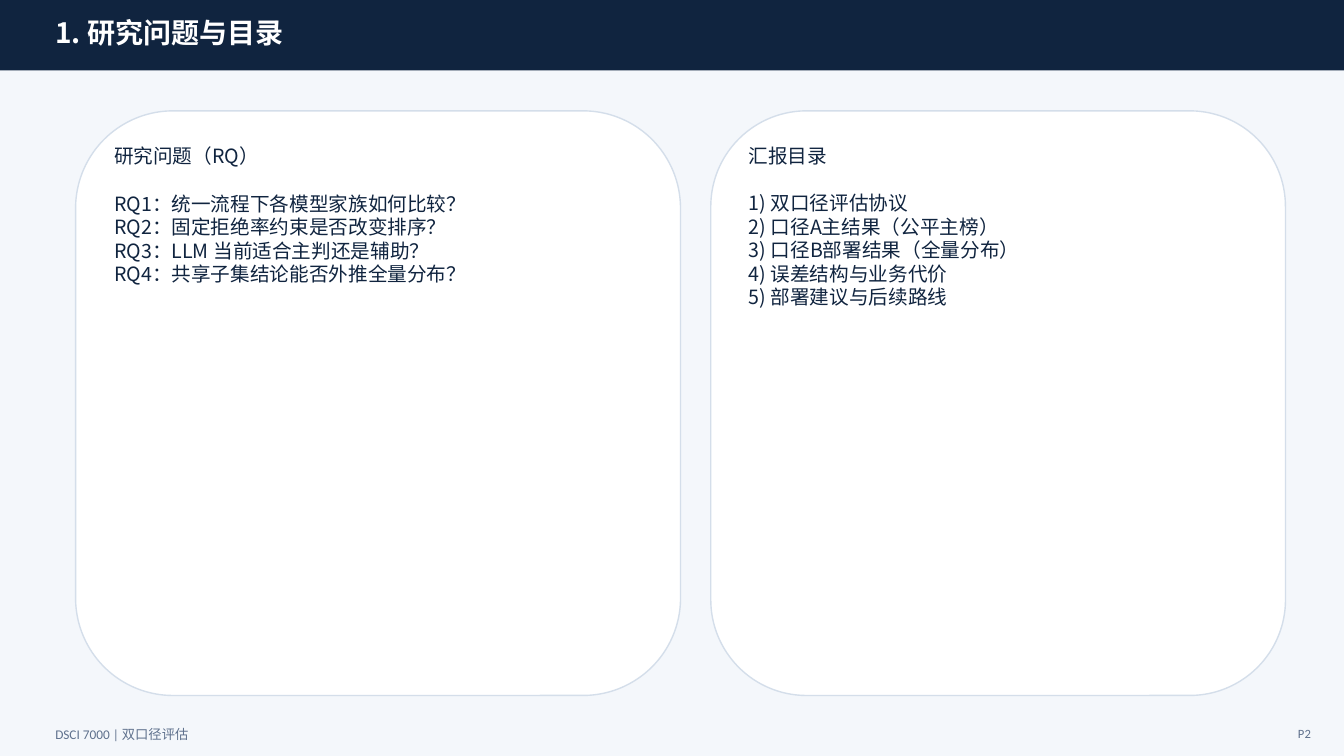
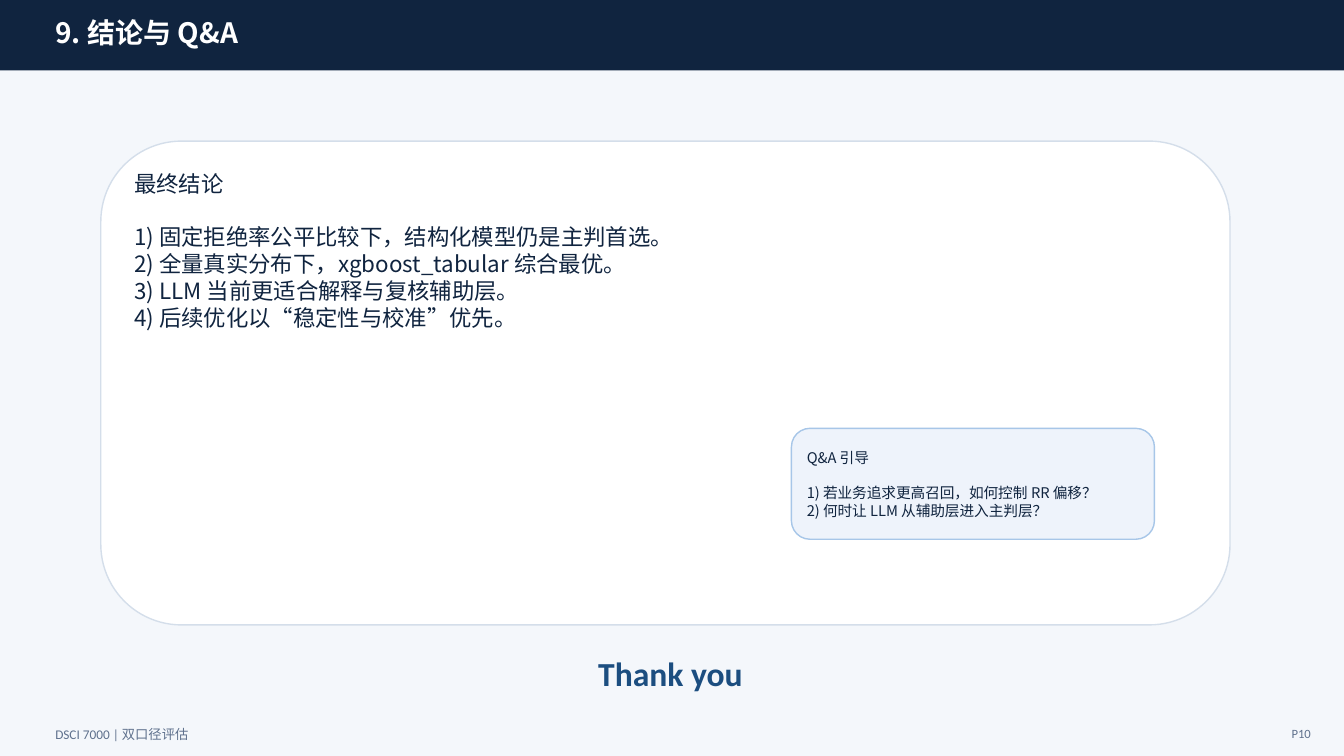
import pptx
import pptx.util
import pptx.dml.color
import pptx.enum.shapes
import pptx.enum.text

Inches, Pt = pptx.util.Inches, pptx.util.Pt
SHAPES = pptx.enum.shapes.MSO_SHAPE
ALIGN = pptx.enum.text.PP_ALIGN
ANCHOR = pptx.enum.text.MSO_ANCHOR

COLORS = {
    "background": "F4F7FB", "navy": "10243F", "white": "FFFFFF",
    "card_line": "D4DEEA", "muted": "5F718D", "accent": "1C4E80",
    "callout": "EEF3FB", "callout_line": "A7C6E8",
}
RGB = {name: pptx.dml.color.RGBColor.from_string(code) for name, code in COLORS.items()}
CJK, LATIN = "Noto Sans CJK SC", "Calibri"

# Text formats shared by the slides
TITLE = {"name": CJK, "size": Pt(20), "bold": True, "color": "white"}
FOOTER = {"name": LATIN, "size": Pt(9.5), "color": "muted"}
PAGE = {"name": LATIN, "size": Pt(9), "color": "muted"}
THANKS = {"name": LATIN, "size": Pt(24), "bold": True, "color": "accent"}


def write(holder, lines, style, align=ALIGN.LEFT, anchor=ANCHOR.MIDDLE):
    """Fill a shape with lines; a heading is set one line above the rest."""
    frame = holder.text_frame
    frame.word_wrap = True
    frame.vertical_anchor = anchor
    for number, line in enumerate(lines):
        paragraph = frame.add_paragraph() if number else frame.paragraphs[0]
        paragraph.alignment = align
        if number == 0 and len(lines) > 1:
            paragraph.space_after = Pt(style["size"].pt * 1.2)
        run = paragraph.add_run()
        run.text = line
        for key, value in style.items():
            if key == "color":
                run.font.color.rgb = RGB[value]
            else:
                setattr(run.font, key, value)


def add_panel(slide, kind, box, fill, line=None):
    panel = slide.shapes.add_shape(kind, *map(Inches, box))
    panel.shadow.inherit = False
    panel.fill.solid()
    panel.fill.fore_color.rgb = RGB[fill]
    if line:
        panel.line.color.rgb = RGB[line]
        panel.line.width = Pt(1)
    else:
        panel.line.fill.background()
    return panel


# Content: cards are (box, text size, anchor, fill, line, lines)
card_look = (ANCHOR.TOP, "white", "card_line")
callout_look = (ANCHOR.MIDDLE, "callout", "callout_line")
pages = [
    {
        "title": "1. 研究问题与目录",
        "number": "P2",
        "cards": [
            ((0.75, 1.1, 6, 5.8), 14, *card_look, [
                "研究问题（RQ）",
                "RQ1：统一流程下各模型家族如何比较？",
                "RQ2：固定拒绝率约束是否改变排序？",
                "RQ3：LLM 当前适合主判还是辅助？",
                "RQ4：共享子集结论能否外推全量分布？",
            ]),
            ((7.05, 1.1, 5.7, 5.8), 14, *card_look, [
                "汇报目录",
                "1) 双口径评估协议",
                "2) 口径A主结果（公平主榜）",
                "3) 口径B部署结果（全量分布）",
                "4) 误差结构与业务代价",
                "5) 部署建议与后续路线",
            ]),
        ],
        "closing": [],
    },
    {
        "title": "9. 结论与 Q&A",
        "number": "P10",
        "cards": [
            ((1, 1.4, 11.2, 4.8), 16, *card_look, [
                "最终结论",
                "1) 固定拒绝率公平比较下，结构化模型仍是主判首选。",
                "2) 全量真实分布下，xgboost_tabular 综合最优。",
                "3) LLM 当前更适合解释与复核辅助层。",
                "4) 后续优化以“稳定性与校准”优先。",
            ]),
            ((7.85, 4.25, 3.6, 1.1), 10.5, *callout_look, [
                "Q&A 引导",
                "1) 若业务追求更高召回，如何控制 RR 偏移？",
                "2) 何时让 LLM 从辅助层进入主判层？",
            ]),
        ],
        "closing": [((5, 6.5, 3.3, 0.35), "Thank you", THANKS, ALIGN.CENTER)],
    },
]

deck = pptx.Presentation()
deck.slide_width, deck.slide_height = Inches(13.33), Inches(7.5)

for page in pages:
    slide = deck.slides.add_slide(deck.slide_layouts[6])
    slide.background.fill.solid()
    slide.background.fill.fore_color.rgb = RGB["background"]

    # Title band
    add_panel(slide, SHAPES.RECTANGLE, (0, 0, 13.33, 0.7), "navy")

    # Cards
    for box, size, anchor, fill, line, lines in page["cards"]:
        card = add_panel(slide, SHAPES.ROUNDED_RECTANGLE, box, fill, line)
        body = {"name": CJK, "size": Pt(size), "color": "navy"}
        write(card, lines, body, anchor=anchor)

    # Title, closing words, page number and footer
    labels = [
        ((0.45, 0.15, 11, 0.34), page["title"], TITLE, ALIGN.LEFT),
        *page["closing"],
        ((12.1, 7.18, 1, 0.2), page["number"], PAGE, ALIGN.RIGHT),
        ((0.45, 7.18, 3.8, 0.2), "DSCI 7000 | 双口径评估", FOOTER, ALIGN.LEFT),
    ]
    for box, words, style, align in labels:
        label = slide.shapes.add_textbox(*map(Inches, box))
        write(label, [words], style, align)

deck.save("out.pptx")
